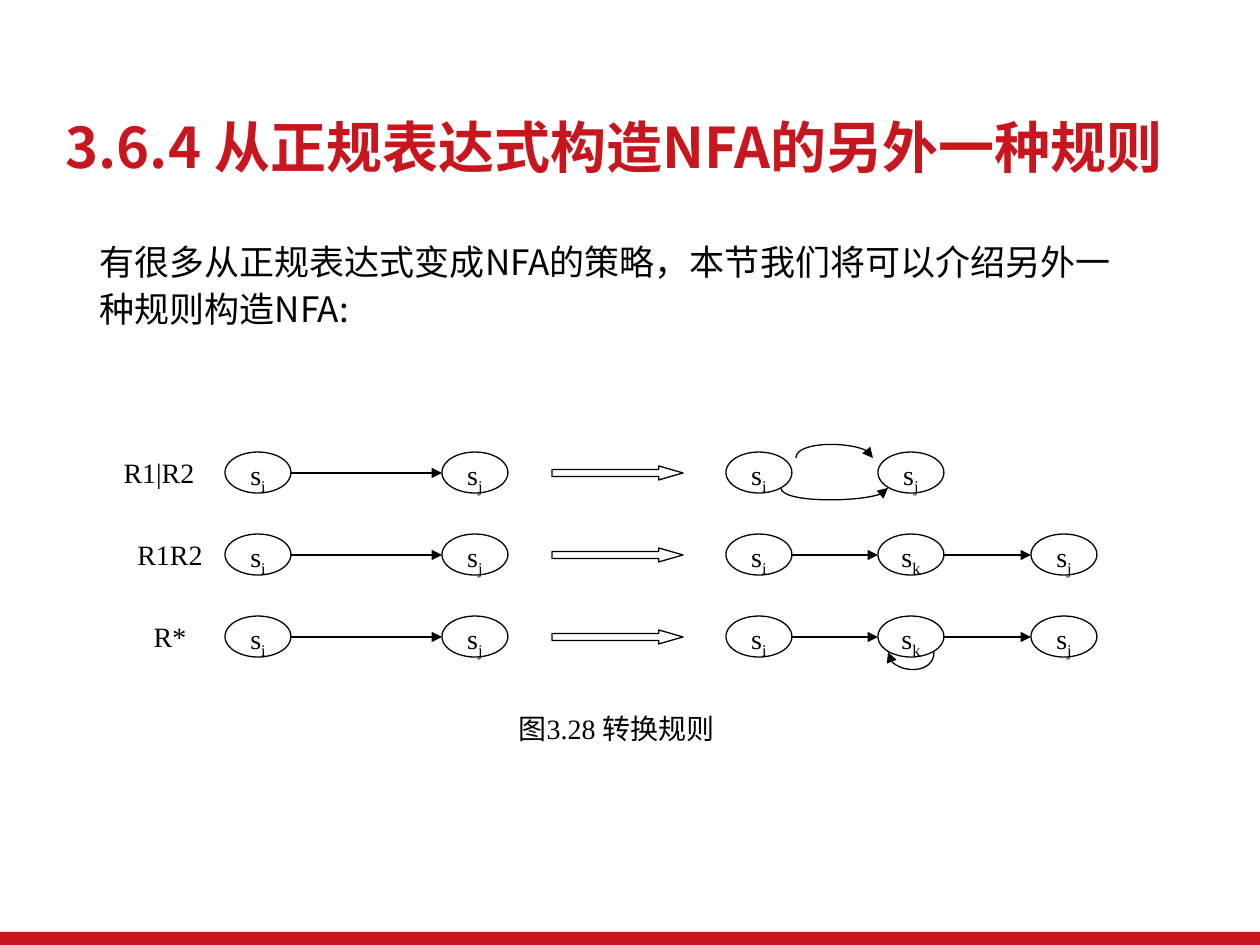
import dataclasses
import lxml.etree
import pptx
import pptx.dml.color
import pptx.enum.shapes
import pptx.enum.text
import pptx.oxml.ns
import pptx.util


@dataclasses.dataclass
class Theme:
    red = pptx.dml.color.RGBColor(0xC8, 0x16, 0x1E)
    bar = pptx.dml.color.RGBColor(0xC9, 0x15, 0x1E)
    black = pptx.dml.color.RGBColor(0, 0, 0)
    white = pptx.dml.color.RGBColor(255, 255, 255)
    sans = "Noto Sans CJK SC"
    serif = "Times New Roman"
    title = pptx.util.Pt(32)
    body = pptx.util.Pt(20)
    label = pptx.util.Pt(16)
    stroke = pptx.util.Pt(0.75)


theme = Theme()
qn = pptx.oxml.ns.qn
shapes = pptx.enum.shapes.MSO_SHAPE
connectors = pptx.enum.shapes.MSO_CONNECTOR
anchors = pptx.enum.text.MSO_ANCHOR
aligns = pptx.enum.text.PP_ALIGN


def px(*lengths):
    return [pptx.util.Emu(round(length * 914400 / 126)) for length in lengths]


def add_text(para, text, font, size, color):
    span = para.add_run()
    span.text = text
    span.font.name = font
    span.font.size = size
    span.font.color.rgb = color
    if font == theme.sans:
        east = lxml.etree.SubElement(span.font._element, qn("a:ea"))
        east.set("typeface", font)
    return span


deck = pptx.Presentation()
deck.slide_width, deck.slide_height = px(1260, 945)
page = deck.slides.add_slide(deck.slide_layouts[5])

bar = page.shapes.add_shape(shapes.RECTANGLE, *px(0, 932, 1260, 13))
bar.shadow.inherit = False
bar.fill.solid()
bar.fill.fore_color.rgb = theme.bar
bar.line.fill.background()

title = page.shapes.title
title.left, title.top, title.width, title.height = px(53, 118, 1154, 80)
frame = title.text_frame
frame.word_wrap = True
frame.auto_size = pptx.enum.text.MSO_AUTO_SIZE.NONE
frame.vertical_anchor = anchors.TOP
frame.margin_top = px(11)[0]
para = frame.paragraphs[0]
para.alignment = aligns.LEFT
para.line_spacing = 0.74
span = add_text(para, "3.6.4 从正规表达式构造NFA的另外一种规则", theme.sans, theme.title, theme.red)
span.font.bold = True

box = page.shapes.add_textbox(*px(87, 242, 1060, 117))
frame = box.text_frame
frame.word_wrap = True
lines = ["有很多从正规表达式变成NFA的策略，本节我们将可以介绍另外一", "种规则构造NFA:"]
for index, line in enumerate(lines):
    para = frame.add_paragraph() if index else frame.paragraphs[0]
    para.line_spacing = 0.8
    if index:
        para.space_before = pptx.util.Pt(8)
    add_text(para, line, theme.sans, theme.body, theme.black)

labels = [
    ("R1|R2", 115, 452, 88, 41, anchors.MIDDLE),
    ("R1R2", 137, 534, 66, 41, anchors.MIDDLE),
    ("R*", 137, 616, 66, 41, anchors.MIDDLE),
    ("图3.28 转换规则", 355, 712, 523, 40, anchors.TOP),
]
for text, left, top, width, height, anchor in labels:
    box = page.shapes.add_textbox(*px(left, top, width, height))
    frame = box.text_frame
    frame.word_wrap = True
    frame.vertical_anchor = anchor
    frame.margin_left = frame.margin_top = frame.margin_right = frame.margin_bottom = 0
    frame.paragraphs[0].alignment = aligns.CENTER
    add_text(frame.paragraphs[0], text, theme.serif, theme.label, theme.black)

row_tops = [452, 534, 616]
state_width, state_height = 66, 41
before = [(225, "i"), (442, "j")]
chain = [(726, "i"), (878, "k"), (1031, "j")]
after = [[(726, "i"), (878, "j")], chain, chain]
arrows = []

for row, top in enumerate(row_tops):
    middle = top + 21
    for left, index in before + after[row]:
        state = page.shapes.add_shape(shapes.OVAL, *px(left, top, state_width, state_height))
        state.shadow.inherit = False
        state.fill.solid()
        state.fill.fore_color.rgb = theme.white
        state.line.color.rgb = theme.black
        state.line.width = theme.stroke
        frame = state.text_frame
        frame.vertical_anchor = anchors.TOP
        frame.margin_left = frame.margin_top = frame.margin_right = frame.margin_bottom = 0
        para = frame.paragraphs[0]
        para.alignment = aligns.CENTER
        add_text(para, "s", theme.serif, theme.label, theme.black)
        span = add_text(para, index, theme.serif, theme.label, theme.black)
        span.font._element.set("baseline", "-25000")

    implies = page.shapes.add_shape(shapes.RIGHT_ARROW, *px(552, middle - 7, 131, 14))
    implies.adjustments[0] = 0.5
    implies.adjustments[1] = 1.74
    implies.shadow.inherit = False
    implies.fill.solid()
    implies.fill.fore_color.rgb = theme.white
    implies.line.color.rgb = theme.black
    implies.line.width = theme.stroke

    links = list(zip(before, before[1:]))
    if row:
        links += zip(chain, chain[1:])
    for (start, _), (end, _) in links:
        arrow = page.shapes.add_connector(
            connectors.STRAIGHT, *px(start + state_width, middle, end, middle))
        arrows.append(arrow)

curves = [(796, 873, 458, 441), (781, 888, 488, 503), (934, 888, 652, 674)]
for start, end, level, control in curves:
    builder = page.shapes.build_freeform(*px(start, level), scale=1.0)
    points = [(start, control), (end, control), (end, level)]
    builder.add_line_segments([px(*point) for point in points], close=False)
    curve = builder.convert_to_shape()
    curve.shadow.inherit = False
    curve.fill.background()
    outline = curve._element.find(".//" + qn("a:path"))
    bend = lxml.etree.SubElement(outline, qn("a:cubicBezTo"))
    for segment in outline.findall(qn("a:lnTo")):
        bend.append(segment[0])
        outline.remove(segment)
    arrows.append(curve)

for arrow in arrows:
    arrow.line.color.rgb = theme.black
    arrow.line.width = theme.stroke
    properties = arrow._element.spPr
    tail = lxml.etree.SubElement(properties.find(qn("a:ln")), qn("a:tailEnd"))
    tail.set("type", "triangle")
    if properties.find(qn("a:effectLst")) is None:
        lxml.etree.SubElement(properties, qn("a:effectLst"))

deck.save("out.pptx")
